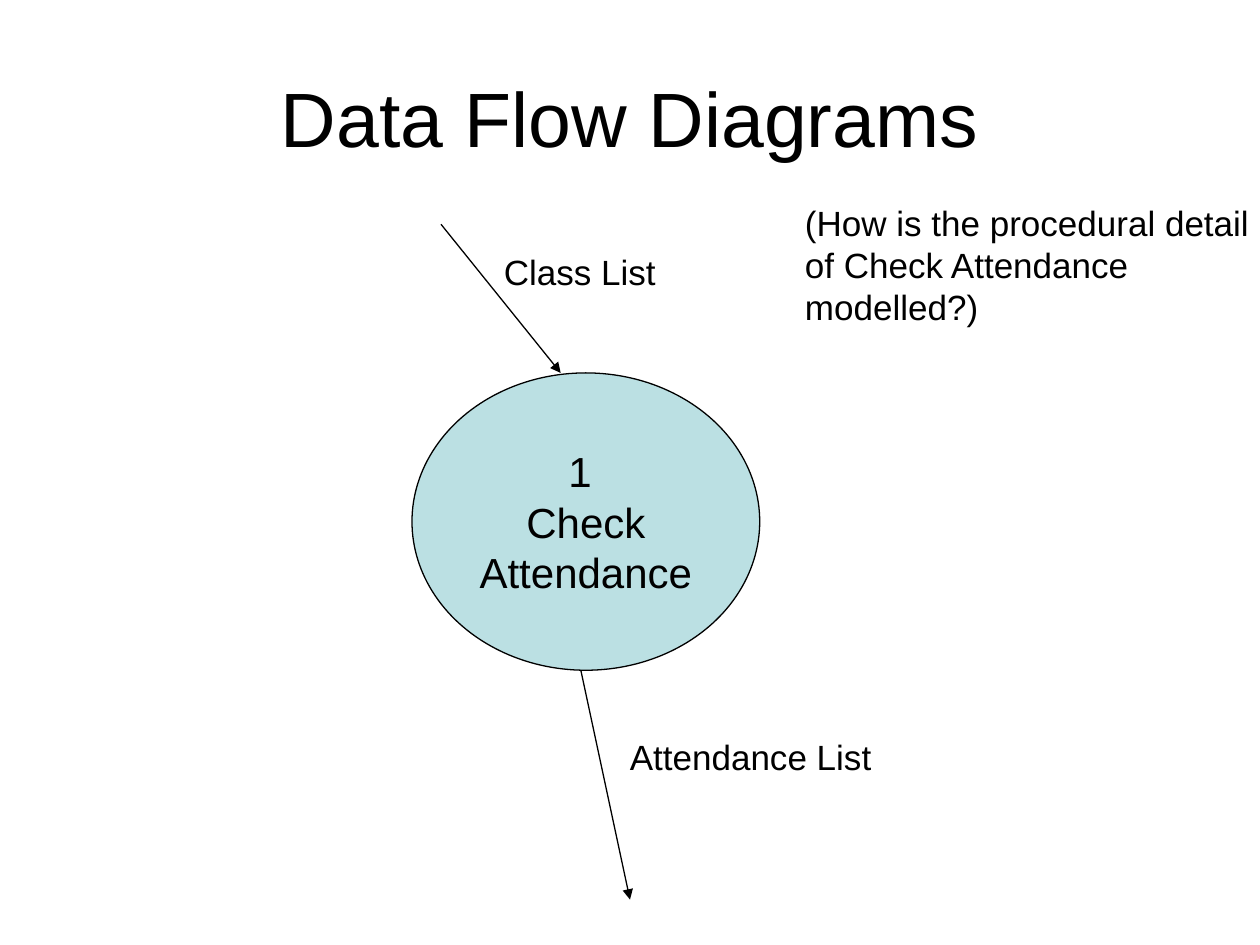
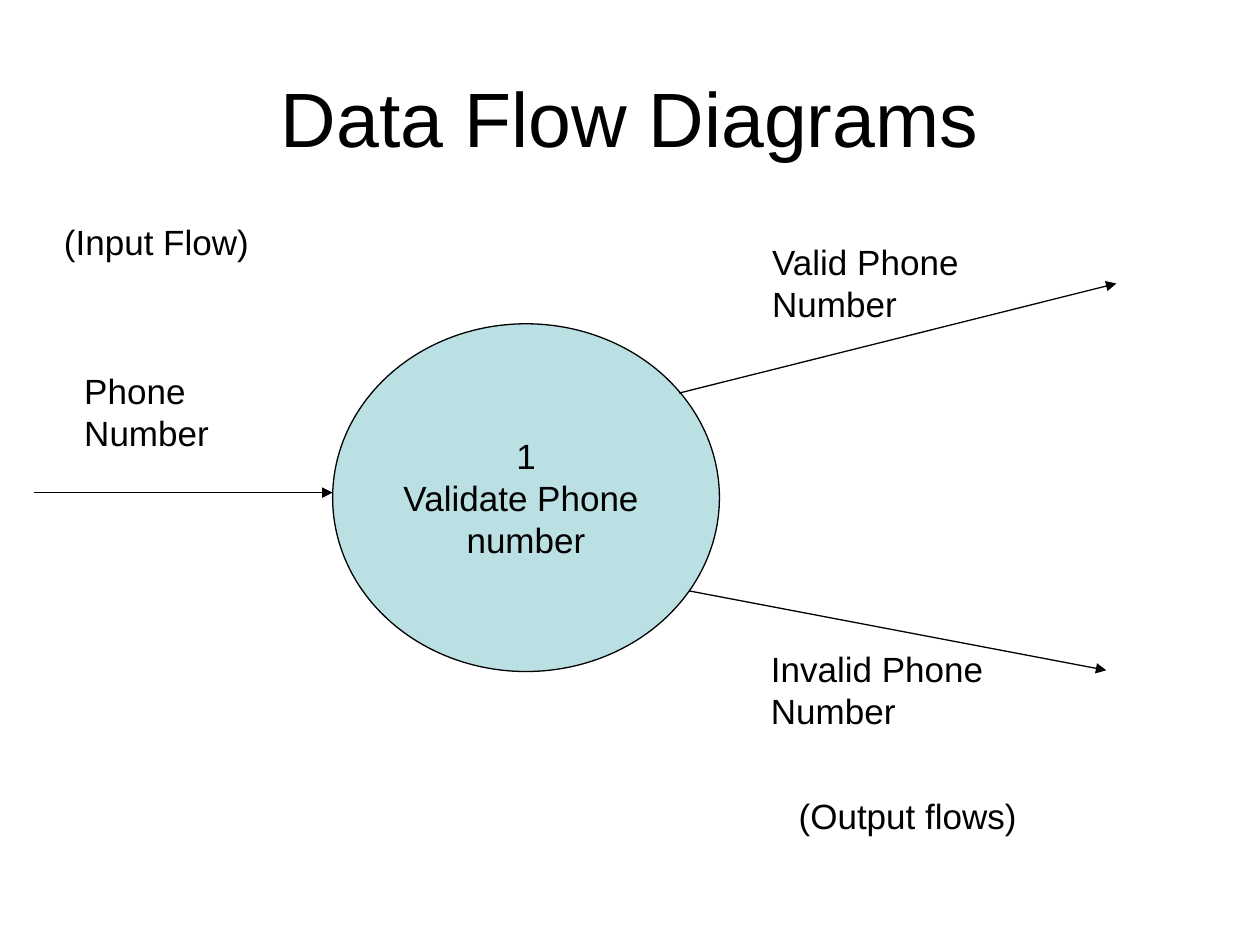
import pptx
import pptx.dml.color
import pptx.enum.shapes
import pptx.enum.text
import pptx.oxml
import pptx.oxml.ns
import pptx.util
from pptx.util import Inches

COLOURS = {"paper": "FFFFFF", "ink": "000000", "process": "BBE0E3"}
FONT = "Arial"
TITLE = "Data Flow Diagrams"
LABEL_SIZE = 20
LABEL_SLACK = 0.03
LINE_WIDTH = pptx.util.Pt(0.75)
ALIGN = pptx.enum.text.PP_ALIGN
ANCHOR = pptx.enum.text.MSO_ANCHOR
DRAWING_NS = pptx.oxml.ns.nsdecls("a")


def colour(name):
    return pptx.dml.color.RGBColor.from_string(COLOURS[name])


def write_lines(frame, lines, size, align):
    for index, line in enumerate(lines):
        para = frame.paragraphs[0] if index == 0 else frame.add_paragraph()
        para.alignment = align
        span = para.add_run()
        span.text = line
        span.font.name = FONT
        span.font.size = pptx.util.Pt(size)
        span.font.color.rgb = colour("ink")


def add_page(deck):
    page = deck.slides.add_slide(deck.slide_layouts[6])
    page.background.fill.solid()
    page.background.fill.fore_color.rgb = colour("paper")
    box = page.shapes.add_textbox(Inches(0.5), Inches(0.3), Inches(9), Inches(1.25))
    frame = box.text_frame
    frame.word_wrap = True
    frame.vertical_anchor = ANCHOR.MIDDLE
    write_lines(frame, [TITLE], 44, ALIGN.CENTER)
    return page


def add_process(page, left, top, width, height, lines, size):
    bubble = page.shapes.add_shape(
        pptx.enum.shapes.MSO_SHAPE.OVAL,
        Inches(left), Inches(top), Inches(width), Inches(height))
    bubble.shadow.inherit = False
    bubble.fill.solid()
    bubble.fill.fore_color.rgb = colour("process")
    bubble.line.color.rgb = colour("ink")
    bubble.line.width = LINE_WIDTH
    frame = bubble.text_frame
    frame.word_wrap = False
    frame.vertical_anchor = ANCHOR.MIDDLE
    write_lines(frame, lines, size, ALIGN.CENTER)


def add_flow(page, start, end):
    arrow = page.shapes.add_connector(
        pptx.enum.shapes.MSO_CONNECTOR.STRAIGHT,
        *(Inches(value) for value in (*start, *end)))
    arrow.line.color.rgb = colour("ink")
    arrow.line.width = LINE_WIDTH
    arrow.line._get_or_add_ln().append(
        pptx.oxml.parse_xml(f'<a:tailEnd {DRAWING_NS} type="triangle"/>'))
    arrow._element.spPr.append(pptx.oxml.parse_xml(f"<a:effectLst {DRAWING_NS}/>"))


def add_label(page, left, top, width, *lines):
    height = 0.11 + 0.33 * len(lines)
    box = page.shapes.add_textbox(
        Inches(left), Inches(top), Inches(width + LABEL_SLACK), Inches(height))
    frame = box.text_frame
    frame.word_wrap = False
    frame.auto_size = pptx.enum.text.MSO_AUTO_SIZE.SHAPE_TO_FIT_TEXT
    write_lines(frame, lines, LABEL_SIZE, ALIGN.LEFT)


def build_attendance(deck):
    page = add_page(deck)
    add_process(page, 3.27, 2.96, 2.76, 2.36, ["1 ", "Check", "Attendance"], 24)
    add_flow(page, (3.5, 1.78), (4.45, 2.96))
    add_flow(page, (4.61, 5.32), (5, 7.14))
    add_label(page, 3.9, 1.94, 1.4, "Class List")
    add_label(page, 4.9, 5.79, 2.12, "Attendance List")
    add_label(page, 6.29, 1.55, 3.8, "(How is the procedural detail",
              "of Check Attendance", "modelled?)")


def build_phone_validation(deck):
    page = add_page(deck)
    add_process(page, 2.64, 2.57, 3.07, 2.76,
                ["1", "Validate Phone ", "number"], LABEL_SIZE)
    add_flow(page, (0.27, 3.91), (2.64, 3.91))
    add_flow(page, (5.39, 3.12), (8.86, 2.25))
    add_flow(page, (5.47, 4.69), (8.78, 5.32))
    add_label(page, 6.03, 1.86, 1.78, "Valid Phone", "Number")
    add_label(page, 6.02, 5.09, 1.88, "Invalid Phone", "Number")
    add_label(page, 0.57, 2.88, 1.19, "Phone", "Number")
    add_label(page, 0.41, 1.7, 1.67, "(Input Flow)")
    add_label(page, 6.24, 6.26, 1.93, "(Output flows)")


def main():
    deck = pptx.Presentation()
    deck.slide_width = Inches(10)
    deck.slide_height = Inches(7.5)
    build_attendance(deck)
    build_phone_validation(deck)
    deck.save("out.pptx")


if __name__ == "__main__":
    main()
